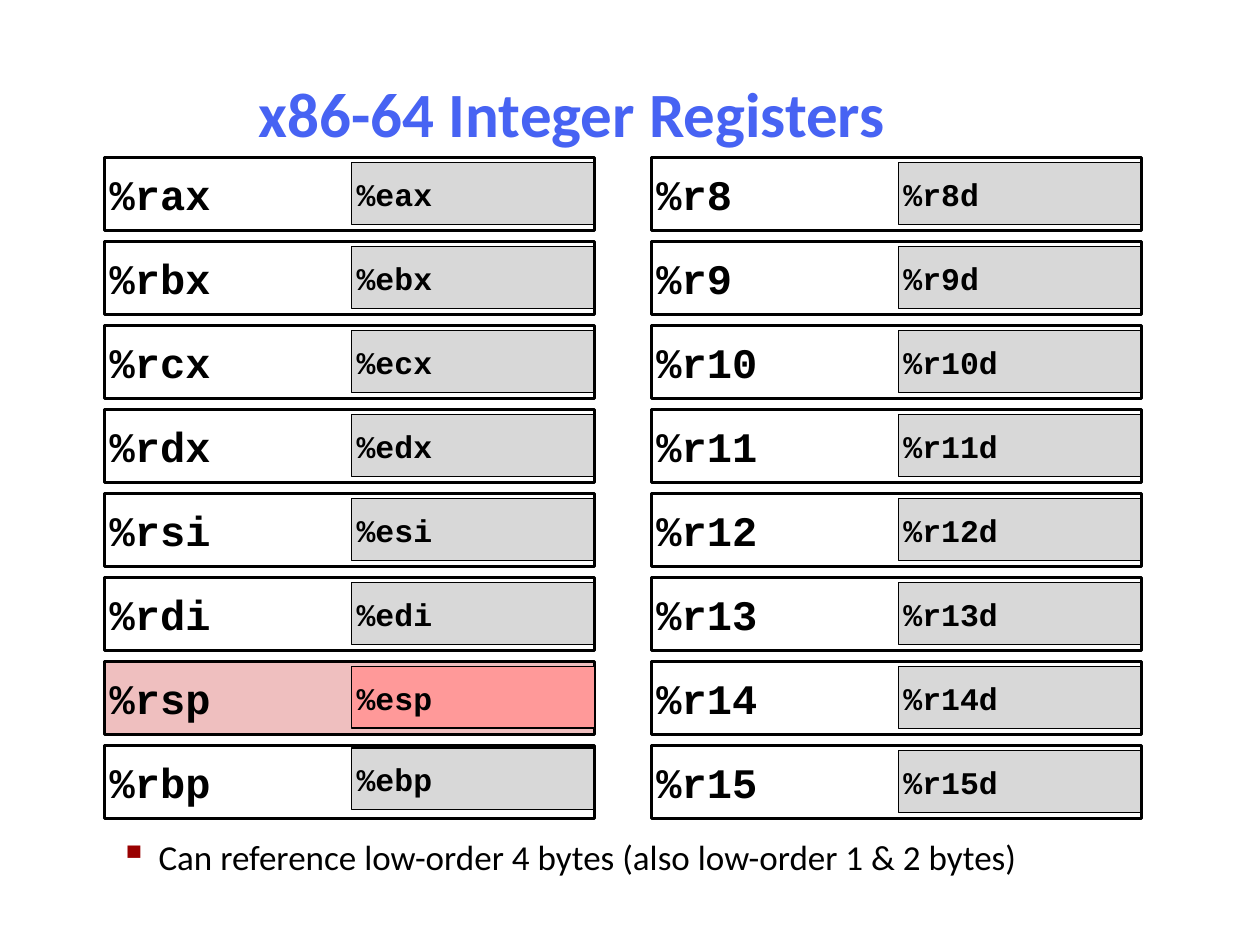
from dataclasses import dataclass

from lxml.etree import SubElement
from pptx import Presentation
from pptx.dml.color import RGBColor
from pptx.enum.shapes import MSO_SHAPE
from pptx.enum.text import MSO_ANCHOR, PP_ALIGN
from pptx.oxml.ns import qn
from pptx.slide import Slide
from pptx.text.text import TextFrame
from pptx.util import Inches, Pt

COLORS = {
    "title": "4763F3",
    "text": "000000",
    "bullet": "990000",
    "low": "D8D8D8",
    "stack": "EFBFBF",
    "stack_low": "FF9999",
}
CODE, BODY = "Courier New", "Calibri"

# Register grid, in inches
LEFT, TOP = 0.83, 1.25
COL_PITCH, ROW_PITCH = 4.34, 2 / 3
REG_W, REG_H = 3.89, 0.58
LOW_DX, LOW_DY, LOW_W, LOW_H = 1.96, 0.04, 1.93, 0.49
INSET = 0.04


@dataclass(frozen=True)
class Register:
    name: str
    low: str
    col: int
    row: int
    is_stack: bool = False
    low_shift: float = 0

    @property
    def x(self) -> float:
        return LEFT + self.col * COL_PITCH

    @property
    def y(self) -> float:
        return TOP + self.row * ROW_PITCH


LEGACY = ["ax", "bx", "cx", "dx", "si", "di", "sp", "bp"]
REGISTERS = [
    Register(f"%r{n}", f"%e{n}", 0, row, n == "sp", -0.02 if n == "bp" else 0)
    for row, n in enumerate(LEGACY)
] + [Register(f"%r{n}", f"%r{n}d", 1, row) for row, n in enumerate(range(8, 16))]


def rgb(key: str) -> RGBColor:
    return RGBColor.from_string(COLORS[key])


def set_text(tf: TextFrame, text: str, size: int, font: str, bold: bool,
             color: str = "text", align: PP_ALIGN = PP_ALIGN.LEFT) -> None:
    tf.word_wrap = True
    p = tf.paragraphs[0]
    p.alignment = align
    r = p.add_run()
    r.text = text
    for attr, value in {"size": Pt(size), "name": font, "bold": bold}.items():
        setattr(r.font, attr, value)
    r.font.color.rgb = rgb(color)


def add_box(s: Slide, box: tuple[float, float, float, float], text: str,
            size: int, line: float, fill: str | None) -> None:
    sp = s.shapes.add_shape(MSO_SHAPE.RECTANGLE, *map(Inches, box))
    sp.shadow.inherit = False
    if fill:
        sp.fill.solid()
        sp.fill.fore_color.rgb = rgb(fill)
    else:
        sp.fill.background()
    sp.line.color.rgb = rgb("text")
    sp.line.width = Pt(line)
    tf = sp.text_frame
    for side in ("left", "top", "right", "bottom"):
        setattr(tf, f"margin_{side}", Inches(INSET))
    tf.vertical_anchor = MSO_ANCHOR.MIDDLE
    set_text(tf, text, size, CODE, True)


def add_register(s: Slide, reg: Register) -> None:
    fill = "stack" if reg.is_stack else None
    add_box(s, (reg.x, reg.y, REG_W, REG_H), reg.name, 24, 2, fill)


def add_low_half(s: Slide, reg: Register) -> None:
    box = (reg.x + LOW_DX, reg.y + LOW_DY + reg.low_shift, LOW_W, LOW_H)
    line, fill = (1, "stack_low") if reg.is_stack else (0.75, "low")
    add_box(s, box, reg.low, 18, line, fill)


def add_title(s: Slide, text: str) -> None:
    sp = s.shapes.add_textbox(*map(Inches, (0.39, 0.48, 8.3, 0.83)))
    sp.text_frame.vertical_anchor = MSO_ANCHOR.MIDDLE
    set_text(sp.text_frame, text, 36, BODY, True, "title", PP_ALIGN.CENTER)


def add_bullet(s: Slide, text: str) -> None:
    sp = s.shapes.add_textbox(*map(Inches, (0.35, 6.58, 8.02, 0.92)))
    tf = sp.text_frame
    pPr = tf.paragraphs[0]._p.get_or_add_pPr()
    pPr.set("marL", str(Inches(0.81)))
    pPr.set("indent", str(Inches(-0.31)))
    color = SubElement(pPr, qn("a:buClr"))
    SubElement(color, qn("a:srgbClr"), val=COLORS["bullet"])
    SubElement(pPr, qn("a:buSzPct"), val="110000")
    SubElement(pPr, qn("a:buChar"), char="▪")
    set_text(tf, text, 20, BODY, False)


def main() -> None:
    prs = Presentation()
    prs.slide_width, prs.slide_height = Inches(10), Inches(7.5)
    s = prs.slides.add_slide(prs.slide_layouts[6])

    # The filled register lies below its low half; the open frames lie on top.
    for reg in REGISTERS:
        if reg.is_stack:
            add_register(s, reg)
    add_title(s, "x86-64 Integer Registers")
    add_bullet(s, "Can reference low-order 4 bytes (also low-order 1 & 2 bytes)")
    for reg in REGISTERS:
        add_low_half(s, reg)
    for reg in REGISTERS:
        if not reg.is_stack:
            add_register(s, reg)

    prs.save("out.pptx")


if __name__ == "__main__":
    main()
